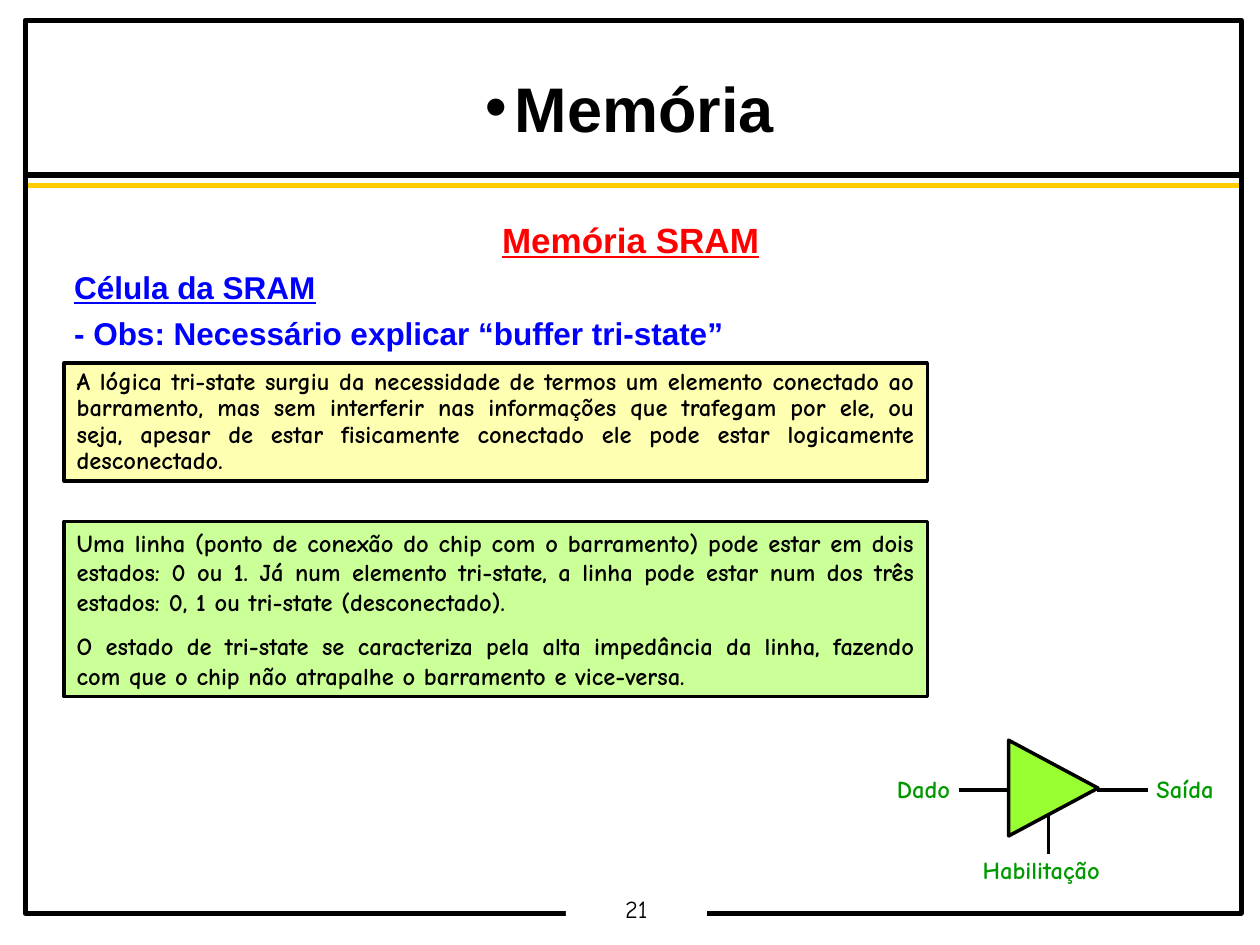
import pptx
import pptx.util
import pptx.dml.color
import pptx.enum.shapes
import pptx.enum.text
import pptx.oxml.ns
from lxml import etree

Pt = pptx.util.Pt
RGB = pptx.dml.color.RGBColor.from_string
SHAPE = pptx.enum.shapes.MSO_SHAPE
ALIGN = pptx.enum.text.PP_ALIGN
qn = pptx.oxml.ns.qn

TITLE = "Memória"
HEADINGS = [
    ("Memória SRAM", dict(size="heading", color="red", underline=True, align=ALIGN.CENTER)),
    ("Célula da SRAM", dict(color="blue", underline=True, before=6.8)),
    ("- Obs: Necessário explicar “buffer tri-state”", dict(color="blue", before=6.8)),
]
NOTES = [
    dict(top=38.4, height=12.53, fill="yellow", spacing=0.9, text=[
        "A lógica tri-state surgiu da necessidade de termos um elemento conectado ao "
        "barramento, mas sem interferir nas informações que trafegam por ele, ou seja, "
        "apesar de estar fisicamente conectado ele pode estar logicamente desconectado.",
    ]),
    dict(top=55.2, height=18.53, fill="lime", spacing=1.0, text=[
        "Uma linha (ponto de conexão do chip com o barramento) pode estar em dois "
        "estados: 0 ou 1. Já num elemento tri-state, a linha pode estar num dos três "
        "estados: 0, 1 ou tri-state (desconectado).",
        "O estado de tri-state se caracteriza pela alta impedância da linha, fazendo "
        "com que o chip não atrapalhe o barramento e vice-versa.",
    ]),
]
PINS = [
    ("Dado", (70.2, 81.2, 6.6, 4.53), (76.1, 83.6, 80, 83.6)),
    ("Saída", (90.8, 81.2, 7.2, 4.53), (87.1, 83.6, 91.1, 83.6)),
    ("Habilitação", (77, 89.87, 11.8, 4.53), (83.2, 86.27, 83.2, 90.4)),
]
PAGE = "21"

THEME = {
    "color": dict(black="000000", white="FFFFFF", gold="FFCC00", red="FF0000", blue="0000FF",
                  yellow="FFFF66", lime="99FF33", green="009900"),
    "size": dict(title=36, heading=20, sub=18, body=14),
    "head_font": "Arial",
    "body_font": "Comic Neue",
}

prs = pptx.Presentation()
prs.slide_width = pptx.util.Inches(10)
prs.slide_height = pptx.util.Inches(7.5)
s = prs.slides.add_slide(prs.slide_layouts[6])


def color(name):
    return RGB(THEME["color"][name])


def share(*values):
    sides = (prs.slide_width, prs.slide_height)
    return [int(v * sides[i % 2] / 100) for i, v in enumerate(values)]


def add_text(tf, text, size="body", font="body_font", color_name="black", bold=True,
             underline=False, align=ALIGN.LEFT, spacing=1.0, before=0, bullet=None):
    p = tf.paragraphs[0]
    if p.runs:
        p = tf.add_paragraph()
    p.alignment = align
    p.line_spacing = spacing
    p.space_before = Pt(before)
    if bullet:
        pPr = p._p.get_or_add_pPr()
        etree.SubElement(pPr, qn("a:buFont")).set("typeface", THEME[font])
        etree.SubElement(pPr, qn("a:buChar")).set("char", bullet)
    r = p.add_run()
    r.text = text
    r.font.size = Pt(THEME["size"][size])
    r.font.name = THEME[font]
    r.font.bold = bold
    r.font.underline = underline
    r.font.color.rgb = color(color_name)


def add_textbox(box, wrap=True):
    tf = s.shapes.add_textbox(*share(*box)).text_frame
    tf.word_wrap = wrap
    return tf


def add_shape(kind, box, fill=None, line=None, alpha=None):
    sp = s.shapes.add_shape(kind, *share(*box))
    sp.shadow.inherit = False
    if fill:
        sp.fill.solid()
        sp.fill.fore_color.rgb = color(fill)
    else:
        sp.fill.background()
    if alpha:
        clr = sp._element.spPr.find(qn("a:solidFill"))[0]
        etree.SubElement(clr, qn("a:alpha")).set("val", str(alpha * 1000))
    if line:
        sp.line.color.rgb = color("black")
        sp.line.width = Pt(line)
    else:
        sp.line.fill.background()
    sp.text_frame.word_wrap = True
    sp.text_frame.vertical_anchor = pptx.enum.text.MSO_ANCHOR.TOP
    return sp


def add_line(ends, width=2, color_name="black"):
    c = s.shapes.add_connector(pptx.enum.shapes.MSO_CONNECTOR.STRAIGHT, *share(*ends))
    c.line.color.rgb = color(color_name)
    c.line.width = Pt(width)
    etree.SubElement(c._element.spPr, qn("a:effectLst"))


for y, name in ((18.53, "black"), (19.6, "gold")):
    add_line((2, y, 98.4, y), 3, name)
add_shape(SHAPE.RECTANGLE, (2, 2.13, 96.5, 94.53), line=2.83)

tf = add_shape(SHAPE.RECTANGLE, (44.9, 94.53, 11.2, 3.6), fill="white").text_frame
tf.word_wrap = False
tf.margin_top = tf.margin_bottom = pptx.util.Inches(0.03)
add_text(tf, PAGE, bold=False, align=ALIGN.CENTER, spacing=0.9)

tf = add_textbox((4.9, 22.93, 90.3, 68.4))
for text, style in HEADINGS:
    style = {"size": "sub", "align": ALIGN.JUSTIFY, **style}
    style["color_name"] = style.pop("color")
    add_text(tf, text, font="head_font", spacing=0.9, **style)

for note in NOTES:
    box = (5.1, note["top"], 68.5, note["height"])
    tf = add_shape(SHAPE.RECTANGLE, box, note["fill"], line=2, alpha=50).text_frame
    for i, text in enumerate(note["text"]):
        add_text(tf, text, align=ALIGN.JUSTIFY, spacing=note["spacing"], before=8.7 if i else 0)

add_shape(SHAPE.ISOSCELES_TRIANGLE, (79.8, 78.67, 7.6, 9.47), "lime", line=2).rotation = 90
for label, box, wire in PINS:
    add_text(add_textbox(box, wrap=False), label, color_name="green")
    add_line(wire)

add_text(add_textbox((2, 2.67, 96.5, 15.73)), TITLE, size="title", font="head_font",
         align=ALIGN.CENTER, spacing=1.5, bullet="•")

prs.save("out.pptx")
